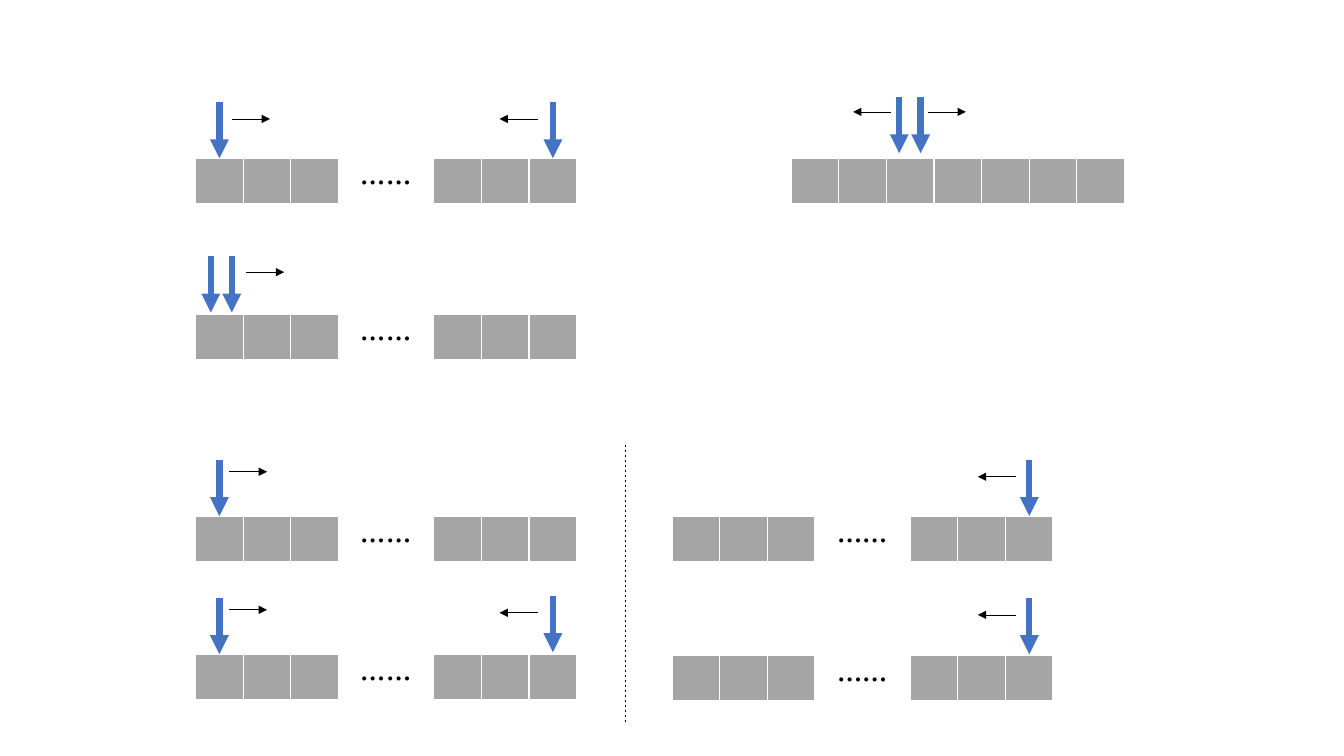
from dataclasses import dataclass
from lxml.etree import SubElement
from pptx import Presentation
from pptx.dml.color import RGBColor as Rgb
from pptx.enum.dml import MSO_LINE
from pptx.enum.lang import MSO_LANGUAGE_ID as Language
from pptx.enum.shapes import MSO_CONNECTOR as Connector
from pptx.enum.text import MSO_ANCHOR as Anchor, PP_ALIGN as Align
from pptx.oxml.ns import qn
from pptx.util import Inches, Pt


@dataclass(frozen=True)
class Theme:
    font: str = "Noto Sans CJK SC"
    text_size: int = 18
    cell: str = "A5A5A5"
    pointer: str = "4472C4"
    ink: str = "000000"
    border: str = "FFFFFF"
    pointer_width: float = 4.5
    thin_width: float = 0.5
    border_width: int = 1
    base_width: int = 3


class ArrayBoard:
    LEFT = 1.94
    COLUMN = 3.78 / 8
    ROW = 0.1
    CELL_ROWS = 4.6
    POINTER_ROWS = 5.6
    MOVE_COLUMNS = 0.8

    def __init__(self, slide, theme):
        self.slide = slide
        self.theme = theme

    def x(self, column):
        return Inches(self.LEFT + column * self.COLUMN)

    def y(self, row):
        return Inches(row * self.ROW)

    def line(self, start, end, color, width, arrow=True):
        connector = self.slide.shapes.add_connector(
            Connector.STRAIGHT, self.x(start[0]), self.y(start[1]),
            self.x(end[0]), self.y(end[1]))
        connector.line.color.rgb = Rgb.from_string(color)
        connector.line.width = Pt(width)
        properties = connector._element.spPr
        if arrow:
            SubElement(properties.find(qn("a:ln")), qn("a:tailEnd"), type="triangle")
        SubElement(properties, qn("a:effectLst"))
        return connector

    def pointer(self, column, tip_row):
        self.line((column, tip_row - self.POINTER_ROWS), (column, tip_row),
                  self.theme.pointer, self.theme.pointer_width)

    def move(self, column, row, direction):
        self.line((column, row), (column + direction * self.MOVE_COLUMNS, row),
                  self.theme.ink, self.theme.thin_width)

    def divider(self, column, top, bottom):
        line = self.line((column, top), (column, bottom), self.theme.ink,
                         self.theme.thin_width, arrow=False)
        line.line.dash_style = MSO_LINE.DASH

    def borders(self, cell):
        properties = cell._tc.get_or_add_tcPr()
        for index, side in enumerate(("lnL", "lnR", "lnT", "lnB")):
            width = self.theme.base_width if side == "lnB" else self.theme.border_width
            line = properties.makeelement(qn("a:" + side), {"w": str(Pt(width))})
            fill = SubElement(line, qn("a:solidFill"))
            SubElement(fill, qn("a:srgbClr"), val=self.theme.border)
            properties.insert(index, line)

    def ellipsis(self, cell):
        cell.fill.background()
        cell.text_frame.text = "……"
        paragraph = cell.text_frame.paragraphs[0]
        paragraph.alignment = Align.CENTER
        font = paragraph.runs[0].font
        font.name = self.theme.font
        font.size = Pt(self.theme.text_size)
        font.bold = True
        font.color.rgb = Rgb.from_string(self.theme.ink)
        font.language_id = Language.SIMPLIFIED_CHINESE
        SubElement(font._element, qn("a:ea"), typeface=self.theme.font)

    def array(self, column, row, spans):
        table = self.slide.shapes.add_table(
            1, len(spans), self.x(column), self.y(row),
            Inches(sum(spans) * self.COLUMN), self.y(self.CELL_ROWS)).table
        table.first_row = table.horz_banding = False
        for index, span in enumerate(spans):
            table.columns[index].width = Inches(span * self.COLUMN)
            cell = table.cell(0, index)
            cell.vertical_anchor = Anchor.MIDDLE
            if span > 1:
                self.ellipsis(cell)
            else:
                cell.fill.solid()
                cell.fill.fore_color.rgb = Rgb.from_string(self.theme.cell)
            self.borders(cell)


LONG = (1, 1, 1, 2, 1, 1, 1)
SHORT = (1,) * 7
RIGHT, LEFT = 1, -1
SECOND_ARRAY = 10

ARRAYS = [
    (0, 15.7, LONG), (0, 31.2, LONG), (0, 51.2, LONG), (0, 64.9, LONG),
    (SECOND_ARRAY, 51.2, LONG), (SECOND_ARRAY, 65, LONG), (12.5, 15.7, SHORT),
]
POINTERS = [
    (0.5, 15.7), (7.5, 15.7), (0.32, 31), (0.76, 31), (0.5, 51.2),
    (0.5, 64.9), (7.5, 64.7), (17.5, 51.2), (17.5, 64.9),
    (14.77, 15.2), (15.22, 15.2),
]
MOVES = [
    (0.76, 11.8, RIGHT), (7.18, 11.8, LEFT), (1.06, 27, RIGHT),
    (0.7, 46.8, RIGHT), (0.7, 60.5, RIGHT), (7.18, 60.8, LEFT),
    (17.22, 47.3, LEFT), (17.22, 61, LEFT),
    (15.37, 11.1, RIGHT), (14.6, 11.1, LEFT),
]

presentation = Presentation()
presentation.slide_width = Inches(13.33)
presentation.slide_height = Inches(7.5)
blank_layout = presentation.slide_layouts[6]
board = ArrayBoard(presentation.slides.add_slide(blank_layout), Theme())

for array in ARRAYS:
    board.array(*array)
for pointer in POINTERS:
    board.pointer(*pointer)
for move in MOVES:
    board.move(*move)
board.divider(9.02, 44.1, 71.8)

presentation.save("out.pptx")
